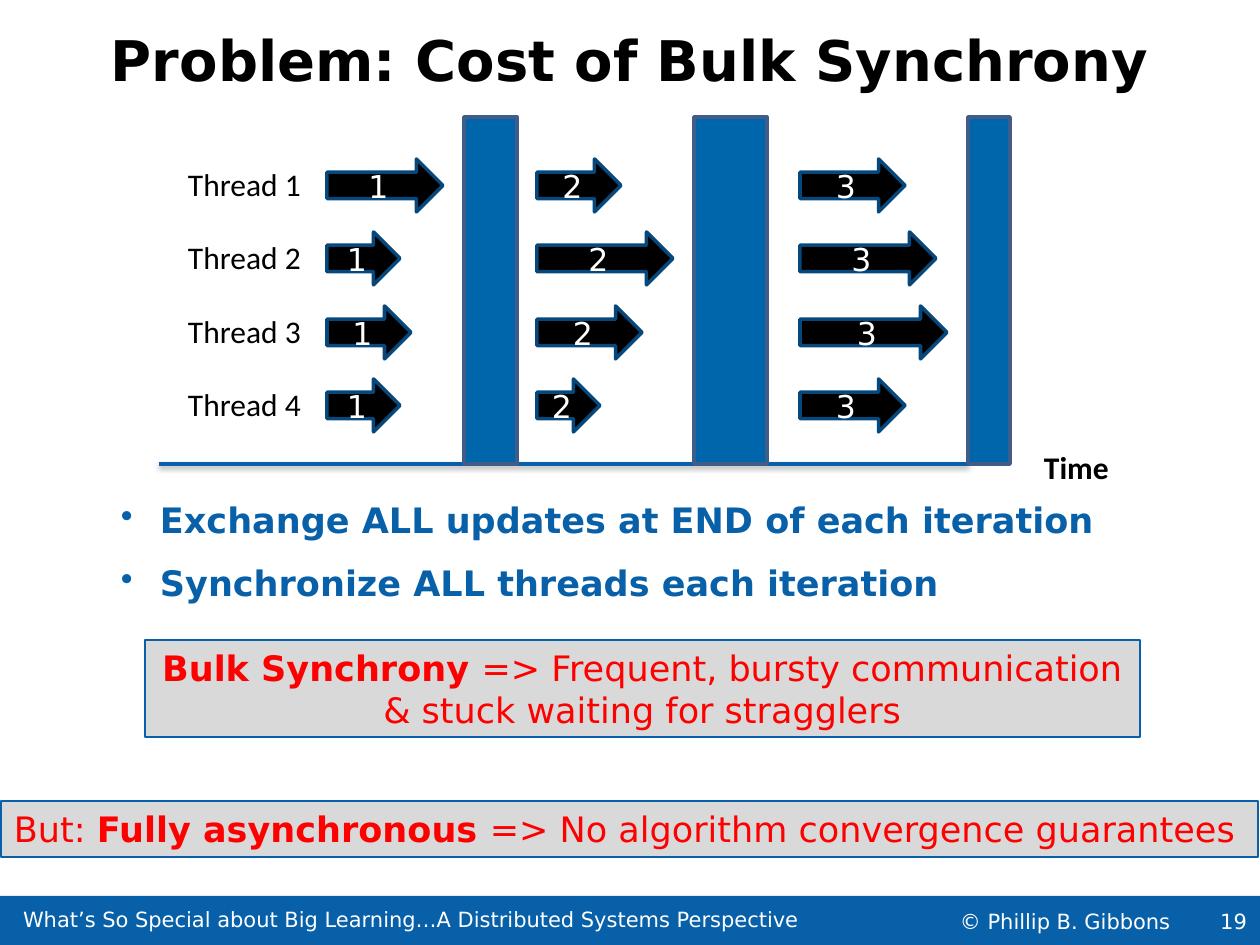
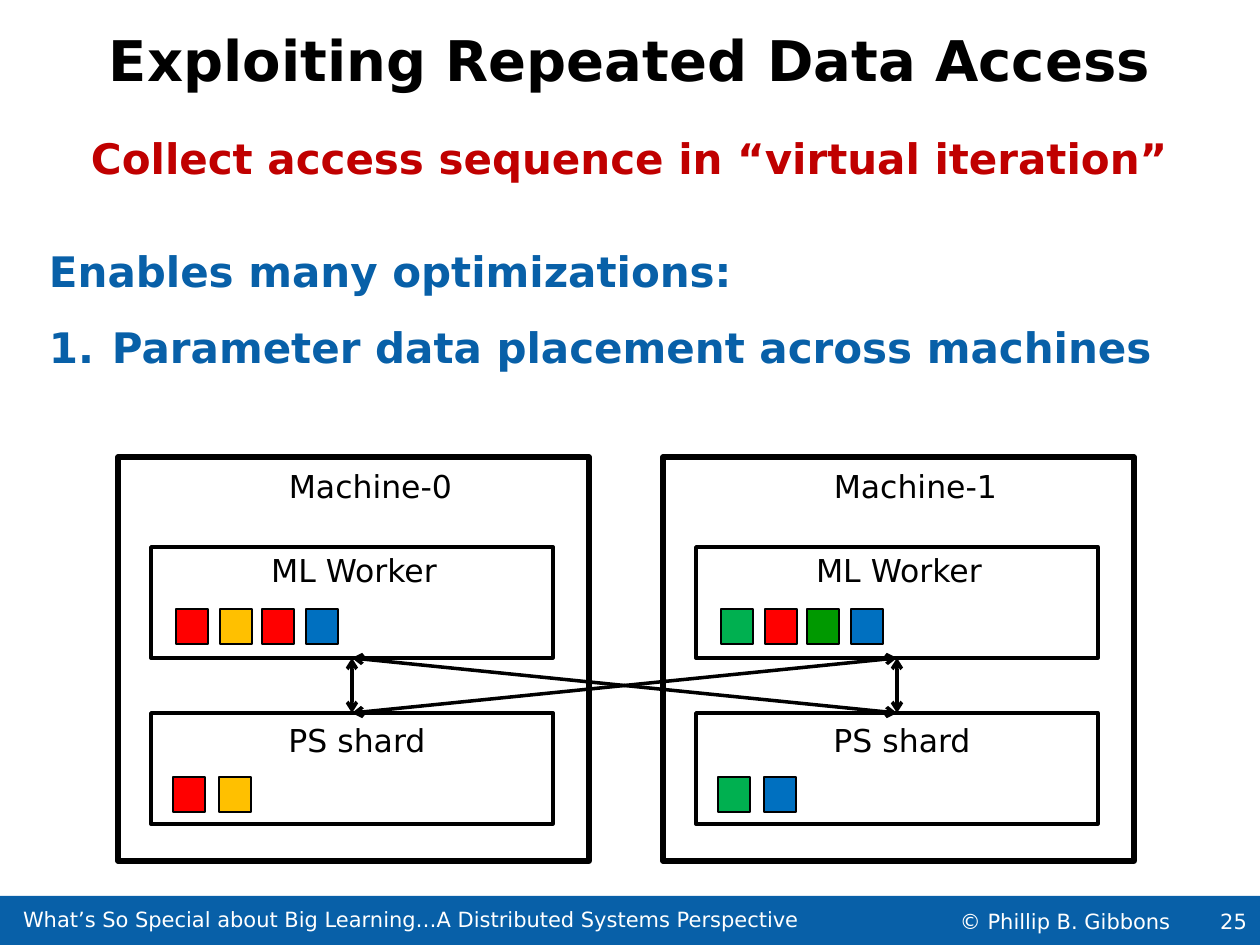
from lxml import etree
from pptx import Presentation
from pptx.dml.color import RGBColor
from pptx.enum.shapes import MSO_CONNECTOR, MSO_SHAPE
from pptx.enum.text import MSO_ANCHOR, MSO_AUTO_SIZE, PP_ALIGN
from pptx.oxml.ns import qn
from pptx.util import Emu, Pt

STRAIGHT = MSO_CONNECTOR.STRAIGHT
RECTANGLE = MSO_SHAPE.RECTANGLE
RIGHT_ARROW = MSO_SHAPE.RIGHT_ARROW
TOP, MIDDLE = MSO_ANCHOR.TOP, MSO_ANCHOR.MIDDLE
LEFT, CENTER, RIGHT = PP_ALIGN.LEFT, PP_ALIGN.CENTER, PP_ALIGN.RIGHT
NO_AUTOFIT = MSO_AUTO_SIZE.NONE

BLACK = RGBColor(0x00, 0x00, 0x00)
WHITE = RGBColor(0xFF, 0xFF, 0xFF)
BLUE = RGBColor(0x08, 0x60, 0xA8)
ARROW_EDGE = RGBColor(0x06, 0x47, 0x7C)
BARRIER_BLUE = RGBColor(0x00, 0x66, 0xAC)
BARRIER_EDGE = RGBColor(0x40, 0x5D, 0x89)
GRAY = RGBColor(0xD9, 0xD9, 0xD9)
RED = RGBColor(0xFF, 0x00, 0x00)
DARK_RED = RGBColor(0xC0, 0x00, 0x00)
YELLOW = RGBColor(0xFF, 0xC0, 0x00)
GREEN = RGBColor(0x00, 0xB0, 0x50)
DARK_GREEN = RGBColor(0x00, 0x99, 0x00)
DATA_BLUE = RGBColor(0x00, 0x70, 0xC0)

SANS, LABEL_FONT = "DejaVu Sans", "Calibri"
EMU_PER_PX = 914400 / 126
SLIDE_WIDTH, SLIDE_HEIGHT = 1260, 945
TITLE_ONLY = 5
INSETS = (13, 6)
NO_INSETS = (0, 0)

ROW_TOPS = (159, 232, 306, 379)
ARROW_HEIGHT = 53
ITERATIONS = (
    (327, (116, 73, 84, 73)),
    (537, (84, 136, 105, 63)),
    (800, (105, 136, 147, 105)),
)
BARRIERS = ((464, 53), (694, 73), (968, 42))
BARRIER_TOP, TIMELINE_Y = 117, 464

WORKER_TOP, SHARD_TOP, BOX_HEIGHT = 547, 713, 111
WORKER_SLOTS, SHARD_SLOTS = (58, 102, 144, 188), (55, 101)
LINK_OFFSET = 234
MACHINES = (
    ("Machine-0", 118, (RED, YELLOW, RED, DATA_BLUE), (RED, YELLOW)),
    ("Machine-1", 663, (GREEN, RED, DARK_GREEN, DATA_BLUE), (GREEN, DATA_BLUE)),
)


def px(length):
    """Turn px into EMU."""
    return Emu(round(length * EMU_PER_PX))


def style_font(paragraph, size, color, bold=False, name=SANS):
    """Set the font of a whole paragraph."""
    font = paragraph.font
    font.name, font.size, font.bold = name, Pt(size), bold
    font.color.rgb = color


def setup_frame(frame, insets=INSETS, anchor=TOP, wrap=True):
    """Set insets, anchor and wrapping of a text frame."""
    frame.auto_size = NO_AUTOFIT
    frame.word_wrap = wrap
    frame.vertical_anchor = anchor
    frame.margin_left = frame.margin_right = px(insets[0])
    frame.margin_top = frame.margin_bottom = px(insets[1])


def write(shape, text, size, color, align=LEFT, bold=False, name=SANS, **frame_options):
    """Write one uniform paragraph into a shape."""
    setup_frame(shape.text_frame, **frame_options)
    paragraph = shape.text_frame.paragraphs[0]
    paragraph.text = text
    paragraph.alignment = align
    style_font(paragraph, size, color, bold, name)


def add_box(slide, left, top, width, height, fill=None, edge=None, weight=1, kind=RECTANGLE):
    """Add a preset shape with optional fill and outline."""
    shape = slide.shapes.add_shape(kind, px(left), px(top), px(width), px(height))
    shape.shadow.inherit = False
    if fill is None:
        shape.fill.background()
    else:
        shape.fill.solid()
        shape.fill.fore_color.rgb = fill
    if edge is None:
        shape.line.fill.background()
    else:
        shape.line.color.rgb = edge
        shape.line.width = Pt(weight)
    return shape


def add_textbox(slide, left, top, width, height):
    """Add an empty text box."""
    return slide.shapes.add_textbox(px(left), px(top), px(width), px(height))


def add_label(slide, left, top, width, height, text, size=18, color=BLACK, **options):
    """Add a text box with one uniform paragraph."""
    write(add_textbox(slide, left, top, width, height), text, size, color, **options)


def add_line(slide, start, end, color):
    """Add a straight line and return it with its empty effect list."""
    line = slide.shapes.add_connector(STRAIGHT, *map(px, start + end))
    line.line.color.rgb = color
    line.line.width = Pt(2)
    return line, etree.SubElement(line.element.spPr, qn("a:effectLst"))


def add_timeline(slide):
    """Add the time axis with its soft shadow."""
    _, effects = add_line(slide, (159, TIMELINE_Y), (968, TIMELINE_Y), BLUE)
    shadow = etree.SubElement(effects, qn("a:outerShdw"), blurRad=str(Pt(3.1)),
                              dist=str(Pt(1.6)), dir="5400000", rotWithShape="0")
    color = etree.SubElement(shadow, qn("a:srgbClr"), val=str(BLACK))
    etree.SubElement(color, qn("a:alpha"), val="38000")


def add_link(slide, start, end):
    """Add a double-headed link."""
    link, _ = add_line(slide, start, end, BLACK)
    outline = link.element.spPr.find(qn("a:ln"))
    for tip in ("a:headEnd", "a:tailEnd"):
        etree.SubElement(outline, qn(tip), type="arrow")


def add_paragraph(frame, text, size, color, gap=0, indent=0, hanging=0, bullet=None):
    """Append a bold paragraph; bullet is a tag with its attributes."""
    first = frame.paragraphs[0]
    paragraph = frame.add_paragraph() if first.runs else first
    paragraph.text = text
    properties = paragraph._p.get_or_add_pPr()
    properties.set("marL", str(px(indent)))
    properties.set("indent", str(-px(hanging)))
    if bullet:
        tag, attributes = bullet
        etree.SubElement(properties, qn(tag), **attributes)
    paragraph.space_before = Pt(gap)
    style_font(paragraph, size, color, bold=True)


def add_callout(slide, left, top, width, height, lines, align=LEFT):
    """Add a gray box whose lines hold (text, bold) parts."""
    shape = add_box(slide, left, top, width, height, GRAY, BLUE)
    setup_frame(shape.text_frame)
    paragraph = shape.text_frame.paragraphs[0]
    paragraph.alignment = align
    for number, parts in enumerate(lines):
        if number:
            paragraph.add_line_break()
        for text, bold in parts:
            run = paragraph.add_run()
            run.text = text
            run.font.bold = bold
    style_font(paragraph, 20, RED)


def add_slide(presentation, title, number):
    """Add a slide with the shared title and footer band."""
    slide = presentation.slides.add_slide(presentation.slide_layouts[TITLE_ONLY])
    heading = slide.shapes.title
    heading.left, heading.top = px(0), px(25)
    heading.width, heading.height = px(SLIDE_WIDTH), px(122)
    write(heading, title, 32, BLACK, CENTER, bold=True, insets=NO_INSETS)
    band = add_box(slide, 0, 896, SLIDE_WIDTH, 50, BLUE)
    write(band, str(number), 12, WHITE, RIGHT, anchor=MIDDLE)
    for left, top, width, height, text in (
        (960, 904, 240, 35, "© Phillip B. Gibbons"),
        (23, 908, 813, 22,
         "What’s So Special about Big Learning…A Distributed Systems Perspective"),
    ):
        add_label(slide, left, top, width, height, text, 12, WHITE,
                  insets=NO_INSETS, anchor=MIDDLE)
    return slide


def add_thread_diagram(slide):
    """Draw thread iterations separated by barriers."""
    add_timeline(slide)
    for thread, top in enumerate(ROW_TOPS, 1):
        add_label(slide, 175, top, 140, 50, f"Thread {thread}", name=LABEL_FONT, wrap=False)
    for iteration, (left, widths) in enumerate(ITERATIONS, 1):
        for top, width in zip(ROW_TOPS, widths):
            arrow = add_box(slide, left, top, width, ARROW_HEIGHT, BLACK, ARROW_EDGE, 2,
                            RIGHT_ARROW)
            write(arrow, str(iteration), 18, WHITE, CENTER, anchor=MIDDLE)
    for left, width in BARRIERS:
        add_box(slide, left, BARRIER_TOP, width, TIMELINE_Y - BARRIER_TOP,
                BARRIER_BLUE, BARRIER_EDGE, 2)
    add_label(slide, 1031, 442, 91, 50, "Time", name=LABEL_FONT, bold=True, wrap=False)


def add_data_squares(slide, left, top, slots, colors):
    """Draw a row of coloured parameter squares."""
    for slot, color in zip(slots, colors):
        add_box(slide, left + slot, top, 32, 35, color, BLACK, 0.75)


def add_machine(slide, name, left, worker_data, shard_data):
    """Draw a machine with its worker and parameter shard."""
    add_box(slide, left, 457, 471, 404, edge=BLACK, weight=3)
    for top in (WORKER_TOP, SHARD_TOP):
        add_box(slide, left + 33, top, 402, BOX_HEIGHT, edge=BLACK, weight=2)
    for offset, top, width, text in (
        (20, 461, 465, name),
        (89, 545, 294, "ML Worker"),
        (135, 715, 208, "PS shard"),
    ):
        add_label(slide, left + offset, top, width, 63, text, align=CENTER)
    add_data_squares(slide, left, 609, WORKER_SLOTS, worker_data)
    add_data_squares(slide, left, 777, SHARD_SLOTS, shard_data)


def build_synchrony_slide(presentation):
    """Build the slide on the cost of bulk synchrony."""
    slide = add_slide(presentation, "Problem: Cost of Bulk Synchrony", 19)
    add_thread_diagram(slide)
    frame = add_textbox(slide, 121, 499, 1118, 116).text_frame
    setup_frame(frame, NO_INSETS)
    for text, gap in (("Exchange ALL updates at END of each iteration", 0),
                      ("Synchronize ALL threads each iteration", 12)):
        add_paragraph(frame, text, 20, BLUE, gap, 39, 39, ("a:buChar", {"char": "•"}))
    add_callout(slide, 145, 640, 995, 97, (
        (("Bulk Synchrony ", True), ("=> Frequent, bursty communication", False)),
        (("& stuck waiting for stragglers", False),),
    ), CENTER)
    add_callout(slide, 1, 801, 1257, 56, (
        (("But: ", False), ("Fully asynchronous ", True),
         ("=> No algorithm convergence guarantees", False)),
    ))


def build_data_access_slide(presentation):
    """Build the slide on repeated data access."""
    slide = add_slide(presentation, "Exploiting Repeated Data Access", 25)
    frame = add_textbox(slide, 49, 132, 1211, 270).text_frame
    setup_frame(frame, NO_INSETS)
    add_paragraph(frame, "Collect access sequence in “virtual iteration”", 24, DARK_RED,
                  indent=42)
    add_paragraph(frame, "Enables many optimizations:", 24, BLUE, gap=36)
    add_paragraph(frame, "Parameter data placement across machines", 24, BLUE, 14.5, 63, 63,
                  ("a:buAutoNum", {"type": "arabicPeriod"}))
    for machine in MACHINES:
        add_machine(slide, *machine)
    link_columns = [left + LINK_OFFSET for _, left, _, _ in MACHINES]
    for worker_x in link_columns:
        for shard_x in link_columns:
            add_link(slide, (worker_x, WORKER_TOP + BOX_HEIGHT), (shard_x, SHARD_TOP))


def main():
    """Build and save the presentation."""
    presentation = Presentation()
    presentation.slide_width = px(SLIDE_WIDTH)
    presentation.slide_height = px(SLIDE_HEIGHT)
    build_synchrony_slide(presentation)
    build_data_access_slide(presentation)
    presentation.save("out.pptx")


if __name__ == "__main__":
    main()
